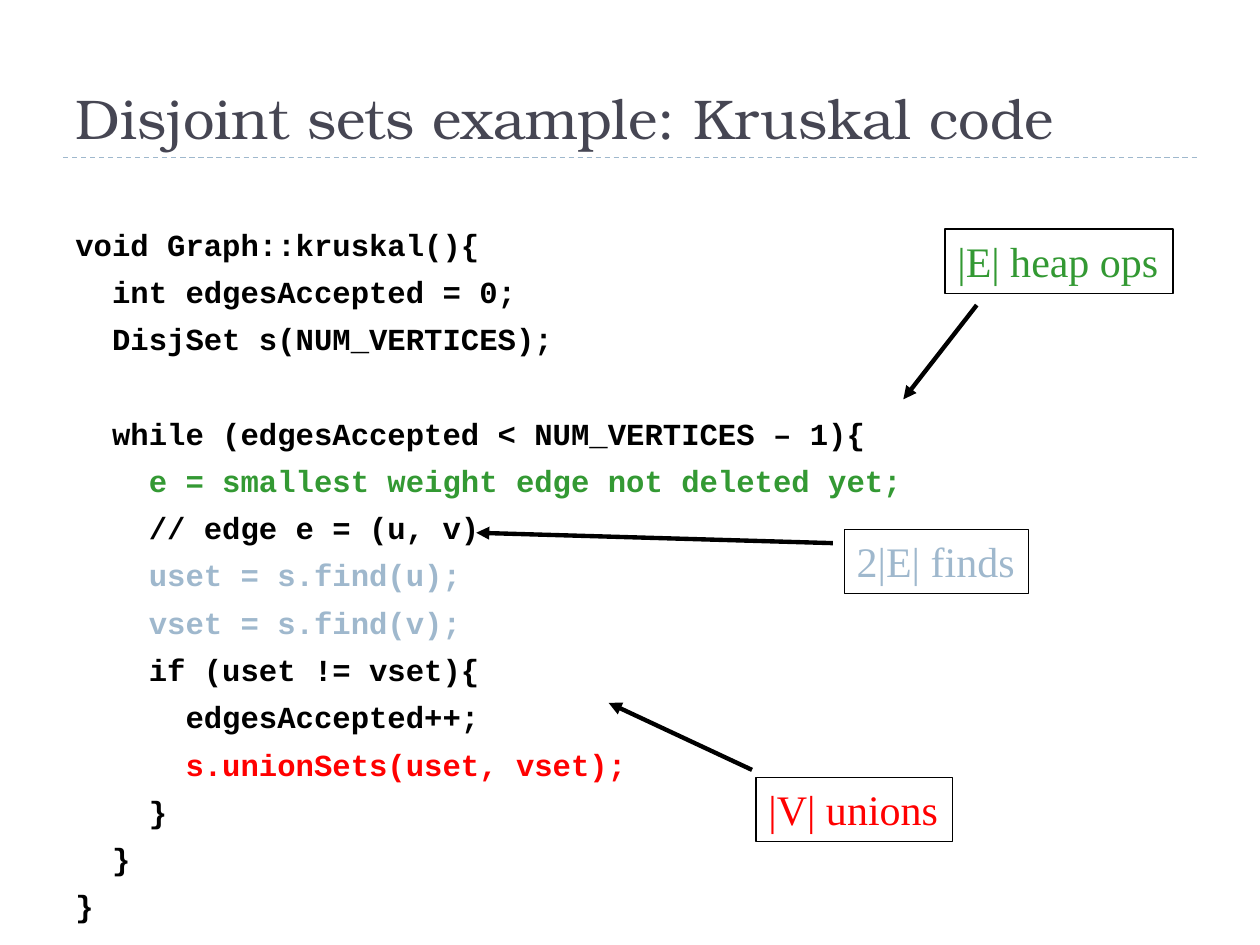
"""Build a slide that annotates the code of Kruskal's algorithm with operation counts."""
import pptx
import pptx.dml.color
import pptx.enum.dml
import pptx.enum.shapes
import pptx.enum.text
import pptx.oxml
import pptx.oxml.ns
import pptx.util
from pptx.util import Cm, Pt

RGBColor = pptx.dml.color.RGBColor
BLACK = RGBColor(0x00, 0x00, 0x00)
GREEN = RGBColor(0x33, 0x99, 0x33)
BLUE = RGBColor(0x9F, 0xB8, 0xCD)
RED = RGBColor(0xFF, 0x00, 0x00)
SLATE = RGBColor(0x46, 0x46, 0x53)

TITLE = "Disjoint sets example: Kruskal code"
LINE_PITCH, LINE_GAP = 27, 6
CODE_GROUPS = [
    [
        ("void Graph::kruskal(){", BLACK),
        ("  int edgesAccepted = 0;", BLACK),
        ("  DisjSet s(NUM_VERTICES);", BLACK),
    ],
    [
        ("  while (edgesAccepted < NUM_VERTICES – 1){", BLACK),
        ("    e = smallest weight edge not deleted yet;", GREEN),
        ("    // edge e = (u, v)", BLACK),
        ("    uset = s.find(u);", BLUE),
        ("    vset = s.find(v);", BLUE),
        ("    if (uset != vset){", BLACK),
        ("      edgesAccepted++;", BLACK),
        ("      s.unionSets(uset, vset);", RED),
        ("    }", BLACK),
        ("  }", BLACK),
        ("}", BLACK),
    ],
]
LABEL_HEIGHT = 1.3
LABELS = [
    ("2|E| finds", BLUE, (17.02, 10.67, 3.71), (16.79, 10.95, 9.6, 10.74)),
    ("|V| unions", RED, (15.24, 15.67, 3.96), (15.16, 15.52, 12.27, 14.17)),
    ("|E| heap ops", GREEN, (19.05, 4.62, 4.6), (19.69, 6.15, 18.21, 8.05)),
]


def style(paragraph, font_name, size, color, bold=False):
    for run in paragraph.runs:
        run.font.name = font_name
        run.font.size = Pt(size)
        run.font.bold = bold
        run.font.color.rgb = color


def add_line(slide, ends, color, width):
    connector = slide.shapes.add_connector(
        pptx.enum.shapes.MSO_CONNECTOR.STRAIGHT, *(Cm(value) for value in ends))
    connector.line.color.rgb = color
    connector.line.width = Pt(width)
    properties = connector._element.spPr
    properties.append(pptx.oxml.parse_xml(
        f"<a:effectLst {pptx.oxml.ns.nsdecls('a')}/>"))
    return connector


def add_title(slide):
    title = slide.shapes.title
    title.left, title.top, title.width, title.height = Cm(1.27), Cm(0.43), Cm(22.86), Cm(2.74)
    title.text_frame.text = TITLE
    title.text_frame.vertical_anchor = pptx.enum.text.MSO_ANCHOR.BOTTOM
    paragraph = title.text_frame.paragraphs[0]
    paragraph.alignment = pptx.enum.text.PP_ALIGN.LEFT
    style(paragraph, "TeX Gyre Bonum", 32, SLATE)
    rule = add_line(slide, (1.27, 3.18, 24.13, 3.18), BLUE, 0.75)
    rule.line.dash_style = pptx.enum.dml.MSO_LINE.DASH


def add_code(slide):
    box = slide.shapes.add_textbox(Cm(1.27), Cm(4.42), Cm(22.86), Cm(14.2))
    frame = box.text_frame
    frame.word_wrap = True
    lines = [line for group in CODE_GROUPS for line in group]
    group_starts = {group[0] for group in CODE_GROUPS}
    frame.text = "\n".join(text for text, _ in lines)
    for index, (paragraph, line) in enumerate(zip(frame.paragraphs, lines)):
        paragraph.alignment = pptx.enum.text.PP_ALIGN.JUSTIFY
        paragraph.line_spacing = Pt(LINE_PITCH - LINE_GAP)
        if index:
            paragraph.space_before = Pt(LINE_GAP + LINE_PITCH * (line in group_starts))
        style(paragraph, "Courier New", 17.5, line[1], bold=True)


def add_label(slide, text, color, place, arrow_ends):
    left, top, width = place
    shape = slide.shapes.add_shape(
        pptx.enum.shapes.MSO_SHAPE.RECTANGLE, Cm(left), Cm(top), Cm(width), Cm(LABEL_HEIGHT))
    shape.shadow.inherit = False
    shape.fill.background()
    shape.line.color.rgb = BLACK
    shape.line.width = Pt(0.75)
    frame = shape.text_frame
    frame.text = text
    frame.word_wrap = False
    frame.auto_size = pptx.enum.text.MSO_AUTO_SIZE.SHAPE_TO_FIT_TEXT
    frame.vertical_anchor = pptx.enum.text.MSO_ANCHOR.TOP
    frame.paragraphs[0].alignment = pptx.enum.text.PP_ALIGN.LEFT
    style(frame.paragraphs[0], "Times New Roman", 24, color)
    arrow = add_line(slide, arrow_ends, BLACK, 2.5)
    arrow.line._get_or_add_ln().append(pptx.oxml.parse_xml(
        f"<a:tailEnd {pptx.oxml.ns.nsdecls('a')} type='triangle'/>"))


def main():
    presentation = pptx.Presentation()
    presentation.slide_width, presentation.slide_height = Cm(25.4), Cm(19.05)
    slide = presentation.slides.add_slide(presentation.slide_layouts[5])
    add_title(slide)
    add_code(slide)
    for label in LABELS:
        add_label(slide, *label)
    presentation.save("out.pptx")


if __name__ == "__main__":
    main()
